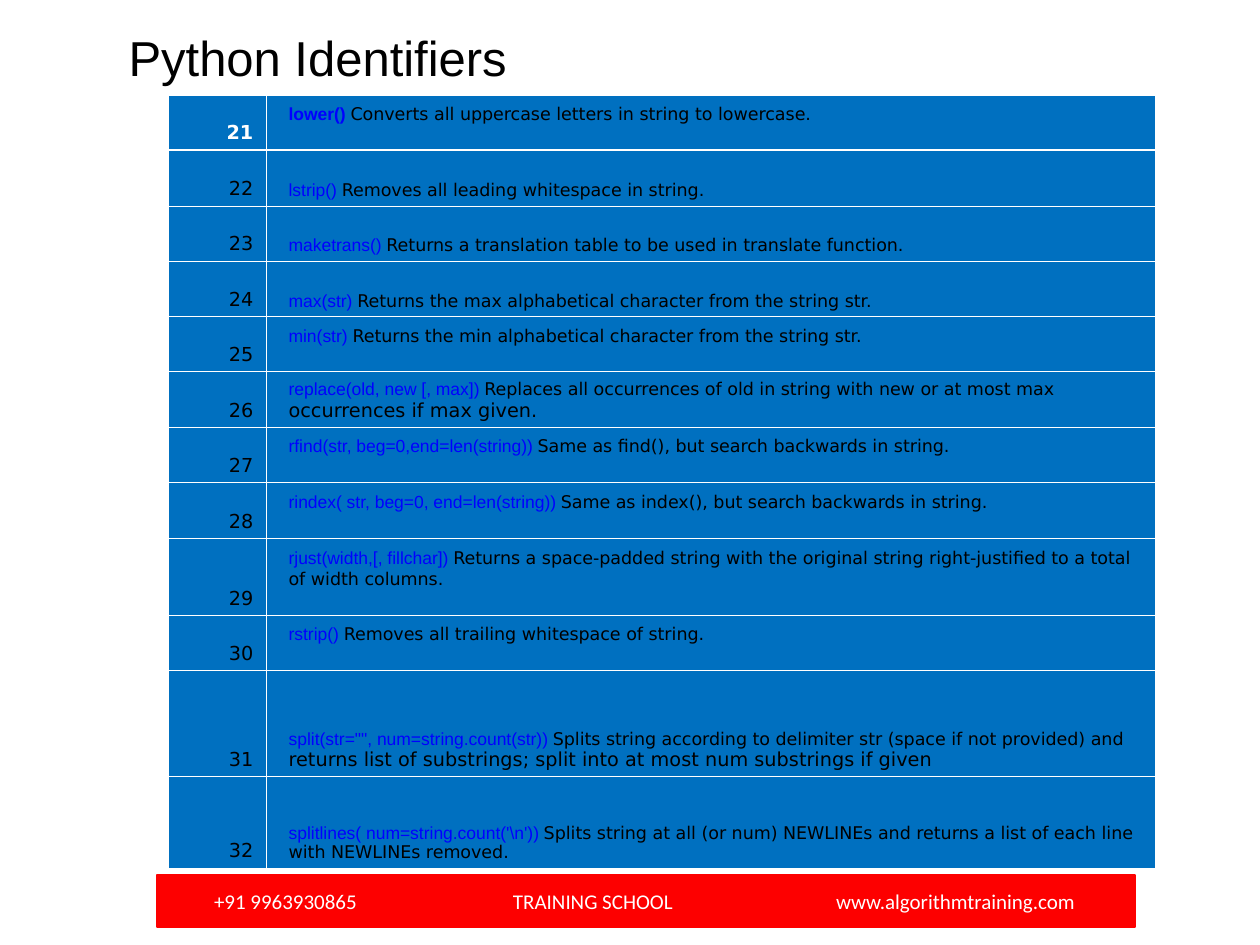
from lxml import etree
from pptx import Presentation, util as u
from pptx.dml.color import RGBColor
from pptx.enum import shapes, text
from pptx.oxml.ns import qn

WHITE = RGBColor(0xFF, 0xFF, 0xFF)
BLACK = RGBColor(0, 0, 0)
CELL_BLUE = RGBColor(0x00, 0x70, 0xC0)
CODE_BLUE = RGBColor(0x00, 0x00, 0xFF)
FOOTER_RED = RGBColor(0xFD, 0x00, 0x00)

TITLE = "Python Identifiers"
FIRST_NUMBER = 21
RELATIVE, EXACT = 0.93, u.Pt(11.8)
BOTTOM, RAISED = 6, 26  # space below the text of a cell, px

# Method, description lines, line spacing, space below
METHODS = [
    ("lower()", ["Converts all uppercase letters in string to lowercase."], RELATIVE, RAISED),
    ("lstrip()", ["Removes all leading whitespace in string."], RELATIVE, BOTTOM),
    ("maketrans()", ["Returns a translation table to be used in translate function."],
     RELATIVE, BOTTOM),
    ("max(str)", ["Returns the max alphabetical character from the string str."],
     RELATIVE, BOTTOM),
    ("min(str)", ["Returns the min alphabetical character from the string str."],
     RELATIVE, RAISED),
    ("replace(old, new [, max])",
     ["Replaces all occurrences of old in string with new or at most max",
      "occurrences if max given."], RELATIVE, BOTTOM),
    ("rfind(str, beg=0,end=len(string))",
     ["Same as find(), but search backwards in string."], EXACT, RAISED),
    ("rindex( str, beg=0, end=len(string))",
     ["Same as index(), but search backwards in string."], EXACT, RAISED),
    ("rjust(width,[, fillchar])",
     ["Returns a space-padded string with the original string right-justified "
      "to a total of width columns."], EXACT, RAISED),
    ("rstrip()", ["Removes all trailing whitespace of string."], EXACT, RAISED),
    ('split(str="", num=string.count(str))',
     ["Splits string according to delimiter str (space if not provided) and",
      "returns list of substrings; split into at most num substrings if given"],
     EXACT, BOTTOM),
    ("splitlines( num=string.count('\\n'))",
     ["Splits string at all (or num) NEWLINEs and returns a list of each line "
      "with NEWLINEs removed."], RELATIVE, BOTTOM),
]
COLUMN_WIDTHS = [98, 889]
ROW_HEIGHTS = [55, 56] * 4 + [77, 55, 106, 92]

FOOTER = ["+91 9963930865", "TRAINING SCHOOL", "www.algorithmtraining.com"]
FOOTER_BOX = (157, 875, 978, 52)
FOOTER_STARTS = [57, 356, 679]  # from the left edge of the bar


def px(value):
    return u.Emu(round(value * 914400 / 126))


def set_all(target, **values):
    for name, value in values.items():
        setattr(target, name, value)


def add_run(paragraph, words, size, font_name, color, bold=False):
    run = paragraph.add_run()
    run.text = words
    set_all(run.font, size=u.Pt(size), name=font_name, bold=bold)
    run.font.color.rgb = color


def set_border(cell, side, points):
    line = etree.SubElement(cell._tc.get_or_add_tcPr(), qn("a:" + side),
                            w=str(u.Pt(points)))
    fill = etree.SubElement(line, qn("a:solidFill"))
    etree.SubElement(fill, qn("a:srgbClr"), val=str(WHITE))


def format_cell(cell, row, space_below):
    set_all(cell, vertical_anchor=text.MSO_ANCHOR.BOTTOM, margin_bottom=px(space_below))
    thick_sides = {0: "lnB", 1: "lnT"}
    for side in ("lnL", "lnR", "lnT", "lnB"):
        set_border(cell, side, 1.47 if thick_sides.get(row) == side else 0.45)
    cell.fill.solid()
    cell.fill.fore_color.rgb = CELL_BLUE


def add_title(slide):
    title = slide.shapes.title
    set_all(title, left=px(116), top=px(21), width=px(945), height=px(72))
    frame = title.text_frame
    set_all(frame, vertical_anchor=text.MSO_ANCHOR.TOP, word_wrap=True,
            auto_size=text.MSO_AUTO_SIZE.NONE)
    paragraph = frame.paragraphs[0]
    paragraph.alignment = text.PP_ALIGN.LEFT
    add_run(paragraph, TITLE, 28, "Arial", BLACK)


def add_footer(slide):
    bar = slide.shapes.add_shape(shapes.MSO_SHAPE.RECTANGLE, *map(px, FOOTER_BOX))
    bar.shadow.inherit = False
    bar.fill.solid()
    bar.fill.fore_color.rgb = FOOTER_RED
    bar.line.color.rgb = FOOTER_RED
    bar.line.width = u.Pt(0.75)
    frame = bar.text_frame
    set_all(frame, vertical_anchor=text.MSO_ANCHOR.MIDDLE, word_wrap=True,
            margin_left=px(FOOTER_STARTS[0]))
    paragraph = frame.paragraphs[0]
    paragraph.alignment = text.PP_ALIGN.LEFT
    # Tab stops set the gaps between the three entries
    tabs = etree.SubElement(paragraph._p.get_or_add_pPr(), qn("a:tabLst"))
    for start in FOOTER_STARTS[1:]:
        etree.SubElement(tabs, qn("a:tab"), pos=str(px(start - FOOTER_STARTS[0])), algn="l")
    add_run(paragraph, "\t".join(FOOTER), 12, "Calibri", WHITE)


def add_method_table(slide):
    table = slide.shapes.add_table(
        len(METHODS), 2, px(168), px(95),
        px(sum(COLUMN_WIDTHS)), px(sum(ROW_HEIGHTS))).table
    set_all(table, first_row=False, horz_banding=False)
    for column, width in zip(table.columns, COLUMN_WIDTHS):
        column.width = px(width)

    for row, (method, lines, spacing, space_below) in enumerate(METHODS):
        table.rows[row].height = px(ROW_HEIGHTS[row])
        number_cell, method_cell = table.cell(row, 0), table.cell(row, 1)
        format_cell(number_cell, row, BOTTOM)
        format_cell(method_cell, row, space_below)
        is_first = row == 0

        # Number
        paragraph = number_cell.text_frame.paragraphs[0]
        set_all(paragraph, alignment=text.PP_ALIGN.RIGHT,
                line_spacing=1.01 if row < 5 else u.Pt(13.1))
        add_run(paragraph, str(FIRST_NUMBER + row), 11, "DejaVu Sans",
                WHITE if is_first else BLACK, is_first)

        # Method and description
        frame = method_cell.text_frame
        for index, line in enumerate(lines):
            paragraph = frame.add_paragraph() if index else frame.paragraphs[0]
            paragraph._p.get_or_add_pPr().set("marL", str(px(10)))
            paragraph.line_spacing = 1.01 if index and spacing == RELATIVE else spacing
            if index == 0:
                add_run(paragraph, method + " ", 10, "Arial", CODE_BLUE, is_first)
            add_run(paragraph, line, 11 if index else 10, "DejaVu Sans", BLACK)


def main():
    presentation = Presentation()
    set_all(presentation, slide_width=px(1260), slide_height=px(945))
    slide = presentation.slides.add_slide(presentation.slide_layouts[5])
    add_title(slide)
    add_footer(slide)
    add_method_table(slide)
    presentation.save("out.pptx")


if __name__ == "__main__":
    main()
